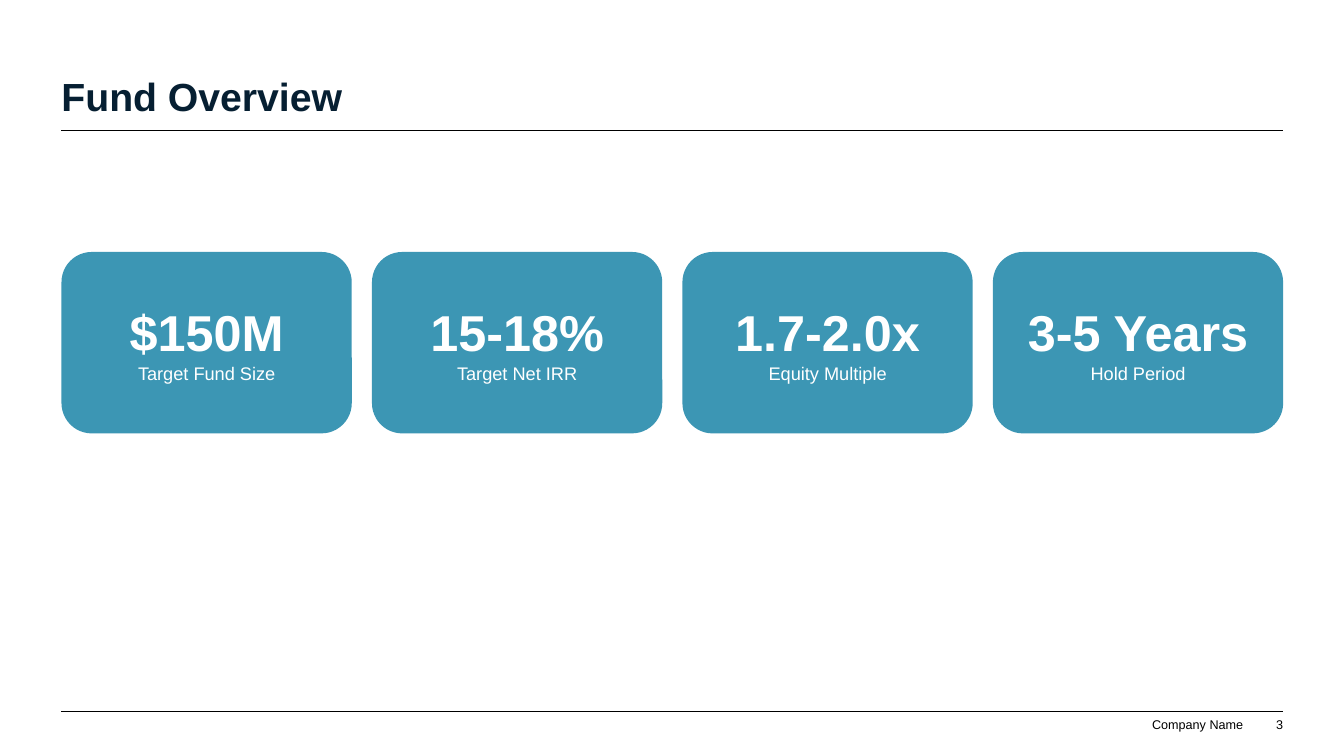
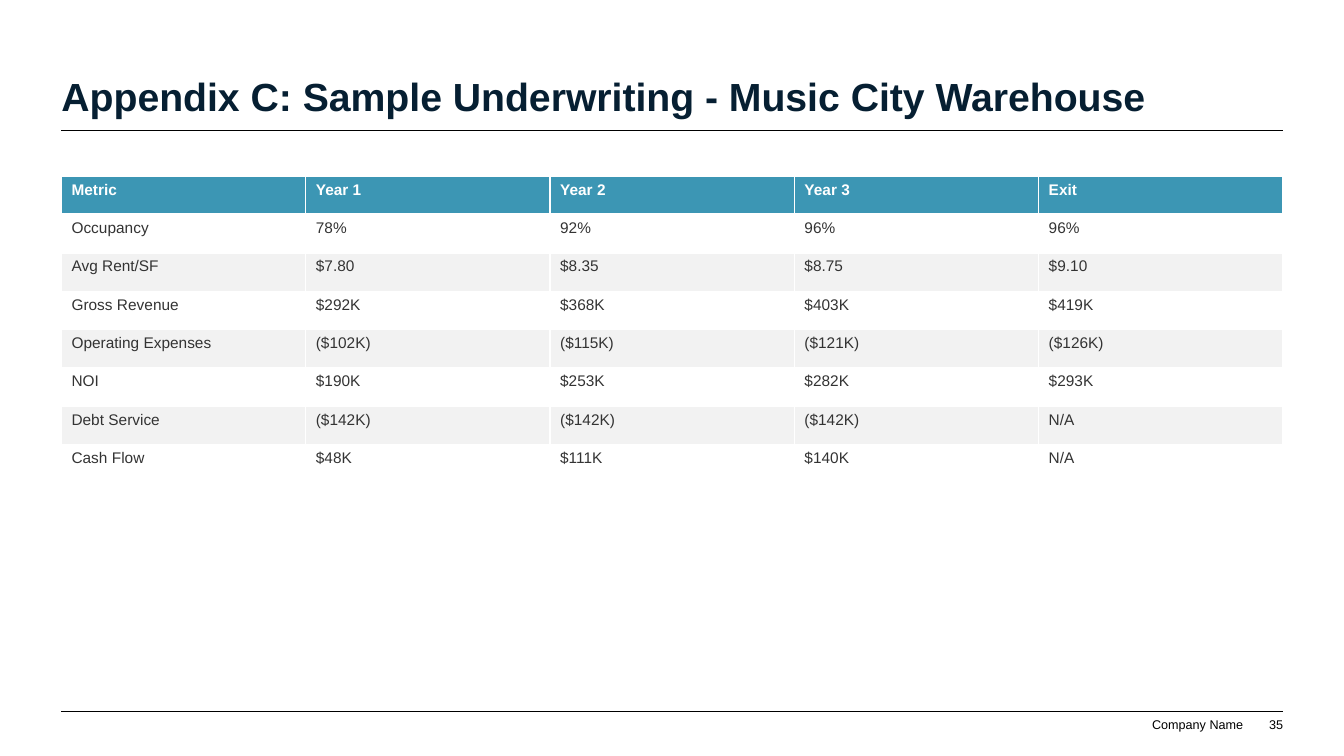
from typing import NamedTuple

from pptx import Presentation
from pptx.dml.color import RGBColor
from pptx.enum.shapes import MSO_CONNECTOR, MSO_SHAPE
from pptx.enum.text import MSO_ANCHOR, MSO_AUTO_SIZE, PP_ALIGN
from pptx.oxml import parse_xml
from pptx.oxml.ns import nsdecls, qn
from pptx.slide import Slide
from pptx.util import Pt

WHITE = RGBColor(0xFF, 0xFF, 0xFF)
BLACK = RGBColor(0x00, 0x00, 0x00)
NAVY = RGBColor(0x06, 0x1F, 0x32)
TEAL = RGBColor(0x3C, 0x96, 0xB4)
GREY = RGBColor(0x33, 0x33, 0x33)
BAND = RGBColor(0xF2, 0xF2, 0xF2)

# Layout in points
LEFT, WIDTH = 43.92, 872.64
RIGHT = LEFT + WIDTH
TITLE_RULE, FOOTER_RULE = 92.88, 508.32
CARD_TOP, CARD_HEIGHT, CARD_GAP = 180, 129.6, 14.4
TABLE_TOP, ROW_HEIGHT = 126, 27.36

FONT = "Arial"
TITLE = dict(name=FONT, size=Pt(28), bold=True, color=NAVY)
FOOTER = dict(name=FONT, size=Pt(9), bold=False, color=BLACK)
CARD_VALUE = dict(name=FONT, size=Pt(36), bold=True, color=WHITE)
CARD_LABEL = dict(name=FONT, size=Pt(13), bold=False, color=WHITE)
HEADER_CELL = dict(name=FONT, size=Pt(11), bold=True, color=WHITE)
BODY_CELL = dict(name=FONT, size=Pt(11), bold=False, color=GREY)


class Card(NamedTuple):
    value: str
    label: str


CARDS = [
    Card("$150M", "Target Fund Size"),
    Card("15-18%", "Target Net IRR"),
    Card("1.7-2.0x", "Equity Multiple"),
    Card("3-5 Years", "Hold Period"),
]

UNDERWRITING = [
    ("Metric", "Year 1", "Year 2", "Year 3", "Exit"),
    ("Occupancy", "78%", "92%", "96%", "96%"),
    ("Avg Rent/SF", "$7.80", "$8.35", "$8.75", "$9.10"),
    ("Gross Revenue", "$292K", "$368K", "$403K", "$419K"),
    ("Operating Expenses", "($102K)", "($115K)", "($121K)", "($126K)"),
    ("NOI", "$190K", "$253K", "$282K", "$293K"),
    ("Debt Service", "($142K)", "($142K)", "($142K)", "N/A"),
    ("Cash Flow", "$48K", "$111K", "$140K", "N/A"),
]


def write(p, text: str, style: dict, align=PP_ALIGN.LEFT) -> None:
    p.alignment = align
    r = p.add_run()
    r.text = text
    for key, value in style.items():
        if key == "color":
            r.font.color.rgb = value
        else:
            setattr(r.font, key, value)


def set_fill(target, color: RGBColor) -> None:
    target.fill.solid()
    target.fill.fore_color.rgb = color


def set_frame(tf) -> None:
    """Remove the insets and rest the text on the bottom edge."""
    frame = dict(margin_left=0, margin_top=0, margin_right=0, margin_bottom=0,
                 word_wrap=True, auto_size=MSO_AUTO_SIZE.NONE,
                 vertical_anchor=MSO_ANCHOR.BOTTOM)
    for key, value in frame.items():
        setattr(tf, key, value)


def add_rule(s: Slide, y: float) -> None:
    line = s.shapes.add_connector(MSO_CONNECTOR.STRAIGHT,
                                  Pt(LEFT), Pt(y), Pt(RIGHT), Pt(y))
    line.line.color.rgb = BLACK
    line.line.width = Pt(0.5)
    sp_pr = line._element.spPr
    sp_pr.append(sp_pr.makeelement(qn("a:effectLst"), {}))


def add_footer_text(s: Slide, text: str, right: float, width: float) -> None:
    box = s.shapes.add_textbox(Pt(right - width), Pt(511.92), Pt(width), Pt(10.8))
    set_frame(box.text_frame)
    write(box.text_frame.paragraphs[0], text, FOOTER, PP_ALIGN.RIGHT)


def add_slide(prs, title: str, number: int) -> Slide:
    """Add a slide with the shared title, rules and footer."""
    s = prs.slides.add_slide(prs.slide_layouts.get_by_name("Title Only"))
    sp = s.shapes.title
    sp.left, sp.top, sp.width, sp.height = Pt(LEFT), Pt(28), Pt(WIDTH), Pt(57.2)
    set_fill(sp, WHITE)
    set_frame(sp.text_frame)
    write(sp.text_frame.paragraphs[0], title, TITLE)
    for y in (TITLE_RULE, FOOTER_RULE):
        add_rule(s, y)
    add_footer_text(s, "Company Name", 888, 66)
    add_footer_text(s, str(number), RIGHT, 26)
    return s


def add_cards(s: Slide, cards: list[Card]) -> None:
    width = (WIDTH - CARD_GAP * (len(cards) - 1)) / len(cards)
    for i, card in enumerate(cards):
        left = LEFT + i * (width + CARD_GAP)
        sp = s.shapes.add_shape(MSO_SHAPE.ROUNDED_RECTANGLE, Pt(left),
                                Pt(CARD_TOP), Pt(width), Pt(CARD_HEIGHT))
        sp.shadow.inherit = False
        set_fill(sp, TEAL)
        sp.line.fill.background()
        tf = sp.text_frame
        tf.word_wrap = True
        tf.vertical_anchor = MSO_ANCHOR.MIDDLE
        write(tf.paragraphs[0], card.value, CARD_VALUE, PP_ALIGN.CENTER)
        write(tf.add_paragraph(), card.label, CARD_LABEL, PP_ALIGN.CENTER)


def set_bottom_border(cell, color: RGBColor, width: float) -> None:
    border = parse_xml(
        f'<a:lnB {nsdecls("a")} w="{Pt(width)}"><a:solidFill>'
        f'<a:srgbClr val="{color}"/></a:solidFill></a:lnB>')
    cell._tc.get_or_add_tcPr().insert(0, border)


def add_banded_table(s: Slide, rows: list[tuple[str, ...]]) -> None:
    table = s.shapes.add_table(len(rows), len(rows[0]), Pt(LEFT), Pt(TABLE_TOP),
                               Pt(WIDTH), Pt(ROW_HEIGHT * len(rows))).table
    for i, row in enumerate(rows):
        fill = TEAL if i == 0 else WHITE if i % 2 else BAND
        style = HEADER_CELL if i == 0 else BODY_CELL
        for cell, text in zip(table.rows[i].cells, row):
            set_fill(cell, fill)
            write(cell.text_frame.paragraphs[0], text, style)
            if i == 0:
                set_bottom_border(cell, WHITE, 3)


def main() -> None:
    prs = Presentation()
    prs.slide_width, prs.slide_height = Pt(960), Pt(540)
    add_cards(add_slide(prs, "Fund Overview", 3), CARDS)
    add_banded_table(
        add_slide(prs, "Appendix C: Sample Underwriting - Music City Warehouse", 35),
        UNDERWRITING)
    prs.save("out.pptx")


if __name__ == "__main__":
    main()
